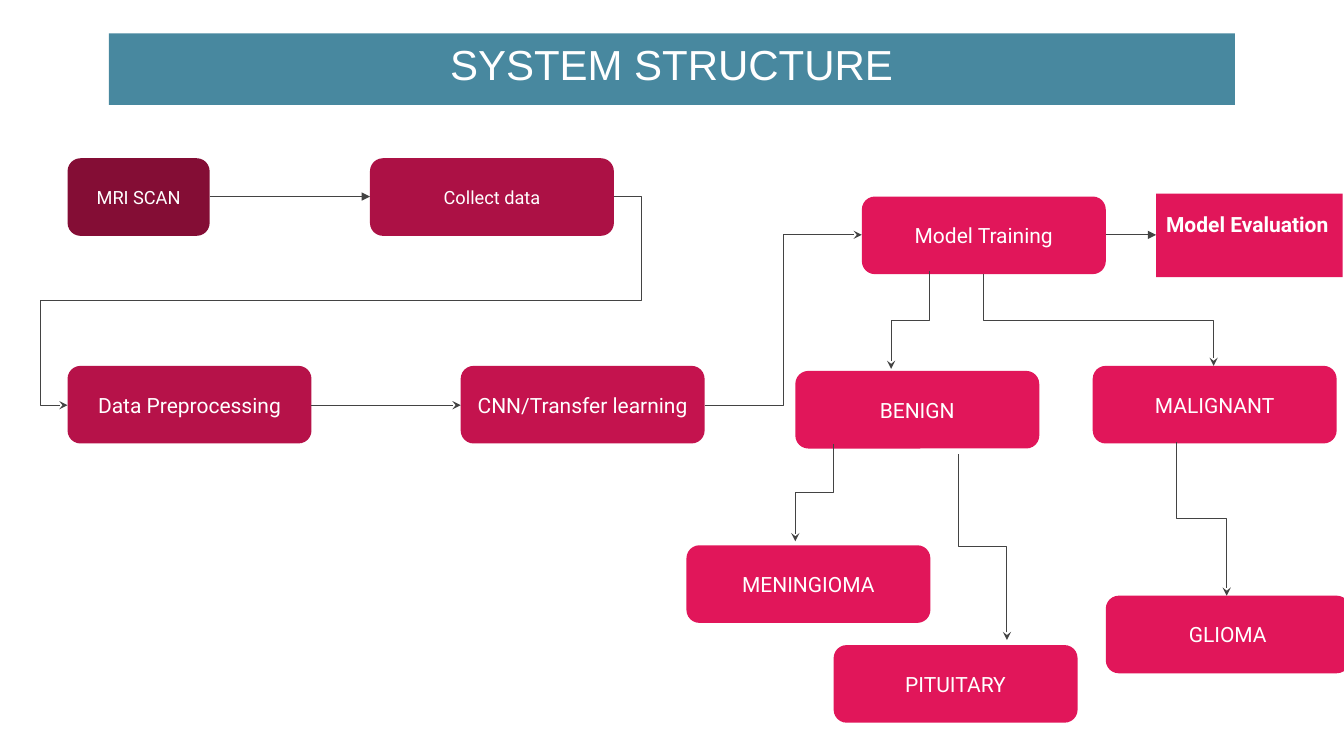
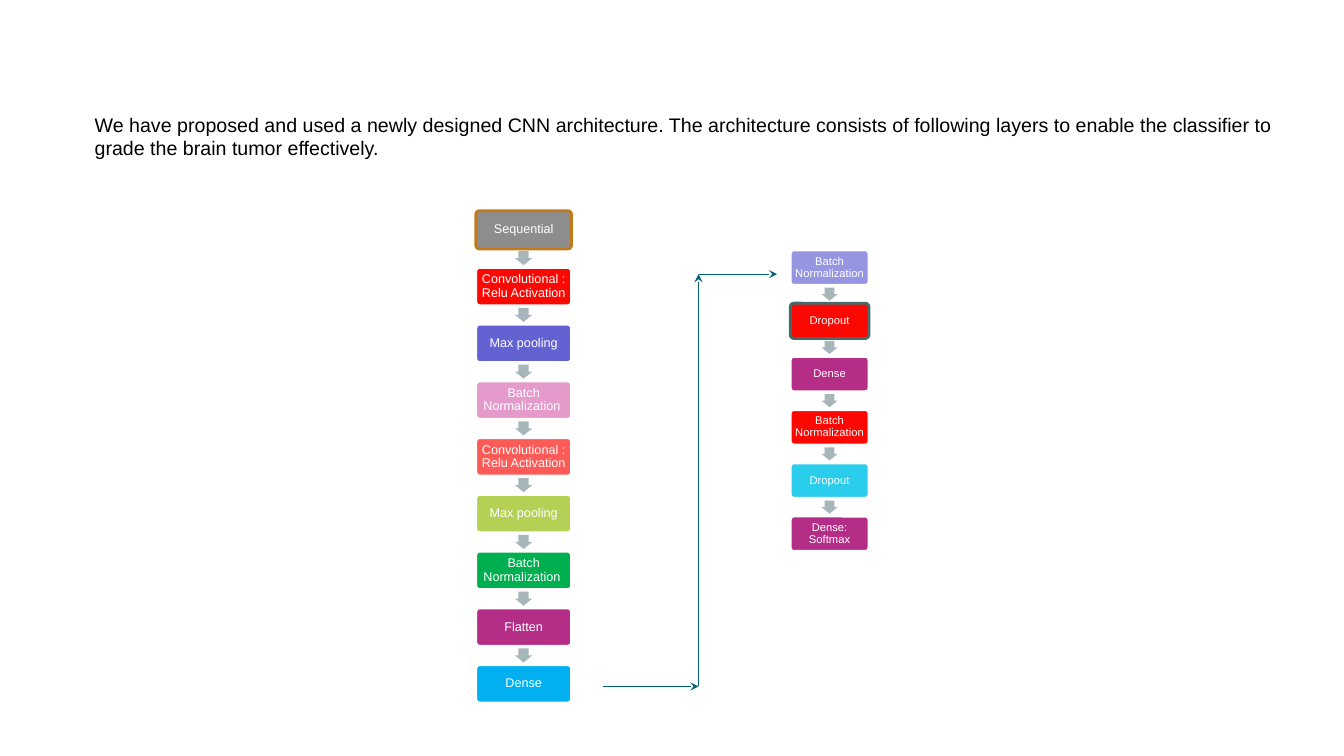
"""Builds two slides on a brain tumor classifier: its system structure and its layers."""
from lxml.etree import SubElement
from pptx import Presentation
from pptx.dml.color import RGBColor
from pptx.enum.shapes import MSO_CONNECTOR, MSO_SHAPE
from pptx.enum.text import MSO_ANCHOR, MSO_AUTO_SIZE, PP_ALIGN
from pptx.oxml.ns import qn
from pptx.util import Inches, Pt

COLORS = {
    "white": "FFFFFF", "black": "000000", "band": "48889F",
    "scan": "840D35", "collect": "AC1145", "prepare": "B61249",
    "network": "C4134E", "result": "E1165A",
    "link": "434343", "route": "076173", "arrow": "A7B6BB",
    "gray": "8D8D8D", "bronze": "C0791B", "slate": "426C6C",
    "red": "FB0803", "coral": "FD5B58", "indigo": "6262D3",
    "lavender": "9595E2", "pink": "E59ACC", "lime": "B5D155",
    "green": "00B050", "plum": "B42D87", "sky": "00B0F0", "cyan": "2ACDEC",
}
SLIDE_COLUMNS, SLIDE_ROWS = 133.33, 75
NODE_WIDTH, NODE_HEIGHT = 24.2, 7.7


def grid(cells):
    """Turns cells of a tenth of an inch into a length."""
    return Inches(cells / 10)


def color(name):
    """Looks up a named colour."""
    return RGBColor.from_string(COLORS[name])


def write(shape, text, size=15, font="Roboto", ink="white", bold=False,
          align=PP_ALIGN.CENTER, anchor=MSO_ANCHOR.MIDDLE, spacing=1,
          insets=(1.3, 1.3, 1.3, 1.3)):
    """Puts formatted text into a shape, with insets left, top, right, bottom."""
    frame = shape.text_frame
    frame.word_wrap = True
    frame.auto_size = MSO_AUTO_SIZE.NONE
    frame.vertical_anchor = anchor
    (frame.margin_left, frame.margin_top,
     frame.margin_right, frame.margin_bottom) = map(grid, insets)
    paragraph = frame.paragraphs[0]
    paragraph.alignment = align
    paragraph.line_spacing = spacing
    run = paragraph.add_run()
    run.text = text
    run.font.size = Pt(size)
    run.font.name = font
    run.font.bold = bold
    run.font.color.rgb = color(ink)


class Deck:
    """Holds the style and the current slide."""

    TITLE_ONLY, BLANK = 5, 6
    TEXT_INSETS = (1, 0.5, 1, 0.5)

    def __init__(self):
        """Starts an empty wide presentation."""
        self.presentation = Presentation()
        self.presentation.slide_width = grid(SLIDE_COLUMNS)
        self.presentation.slide_height = grid(SLIDE_ROWS)
        self.slide = None

    def add_slide(self, title=None):
        """Adds a slide, with a title band if a title is given."""
        layout = self.BLANK if title is None else self.TITLE_ONLY
        self.slide = self.presentation.slides.add_slide(
            self.presentation.slide_layouts[layout])
        if title is not None:
            band = self.slide.shapes.title
            band.left, band.top, band.width, band.height = map(
                grid, (10.8, 3.3, 111.7, 7.1))
            band.fill.solid()
            band.fill.fore_color.rgb = color("band")
            write(band, title, size=30, font="Arial",
                  anchor=MSO_ANCHOR.TOP, insets=self.TEXT_INSETS)

    def text(self, column, row, width, height, text, **style):
        """Adds a plain text box."""
        box = self.slide.shapes.add_textbox(*map(grid, (column, row, width, height)))
        write(box, text, insets=self.TEXT_INSETS, **style)

    def shape(self, kind, column, row, width, height, fill, line=None, adjustments=()):
        """Adds a filled preset shape without a shadow."""
        shape = self.slide.shapes.add_shape(
            kind, *map(grid, (column, row, width, height)))
        shape.shadow.inherit = False
        shape.fill.solid()
        shape.fill.fore_color.rgb = color(fill)
        if line is None:
            shape.line.fill.background()
        else:
            shape.line.color.rgb = color(line)
            shape.line.width = Pt(2)
        for index, value in enumerate(adjustments):
            shape.adjustments[index] = value
        return shape

    def node(self, column, row, text, fill="result", width=NODE_WIDTH, size=15):
        """Adds a rounded step of the flow chart."""
        shape = self.shape(MSO_SHAPE.ROUNDED_RECTANGLE,
                           column, row, width, NODE_HEIGHT, fill)
        write(shape, text, size=size)

    def connector(self, start, end, kind=MSO_CONNECTOR.STRAIGHT, ink="link",
                  arrow="stealth", arrow_end="tailEnd"):
        """Adds a thin connector with one arrowhead."""
        connector = self.slide.shapes.add_connector(kind, *map(grid, (*start, *end)))
        connector.line.color.rgb = color(ink)
        connector.line.width = Pt(0.75)
        SubElement(connector.line._get_or_add_ln(), qn(f"a:{arrow_end}"), type=arrow)
        SubElement(connector._element.spPr, qn("a:effectLst"))
        return connector

    def detour(self, start, end, shares):
        """Adds a connector with four bends, placed by shares of its width and height."""
        connector = self.connector(start, end, MSO_CONNECTOR.ELBOW)
        geometry = connector._element.spPr.find(qn("a:prstGeom"))
        geometry.set("prst", "bentConnector5")
        values = geometry.find(qn("a:avLst"))
        if values is None:
            values = SubElement(geometry, qn("a:avLst"))
        for number, share in enumerate(shares, 1):
            SubElement(values, qn("a:gd"), name=f"adj{number}",
                       fmla=f"val {round(share * 100000)}")

    def branch(self, parent, child):
        """Adds an elbow that leaves the parent downwards and enters the child."""
        middle_x = (parent[0] + child[0]) / 2
        middle_y = (parent[1] + child[1]) / 2
        half_width = (child[1] - parent[1]) / 2
        half_height = abs(child[0] - parent[0]) / 2
        goes_left = child[0] < parent[0]
        side = -half_width if goes_left else half_width
        connector = self.connector(
            (middle_x + side, middle_y - half_height),
            (middle_x - side, middle_y + half_height),
            MSO_CONNECTOR.ELBOW, arrow_end="headEnd")
        rotation = 270 if goes_left else 90
        transform = connector._element.spPr.find(qn("a:xfrm"))
        transform.set("rot", str(rotation * 60000))

    def stack(self, column, row, width, height, pitch, layers, size, inset, arrow):
        """Adds a column of layers with a block arrow in each gap."""
        arrow_width, arrow_height = arrow
        for index, (text, fill, line) in enumerate(layers):
            top = row + index * pitch
            if index:
                self.shape(MSO_SHAPE.DOWN_ARROW,
                           column + (width - arrow_width) / 2,
                           top - (pitch - height + arrow_height) / 2,
                           arrow_width, arrow_height, "arrow", adjustments=(0.6, 0.5))
            layer = self.shape(MSO_SHAPE.ROUNDED_RECTANGLE, column, top,
                               width, height, fill, line, (0.1,))
            write(layer, text, size=size, font="Arial", spacing=0.9,
                  insets=(inset,) * 4)


def build_structure(deck):
    """Draws the flow from scan to diagnosis."""
    deck.add_slide("SYSTEM STRUCTURE")
    deck.node(6.7, 15.7, "MRI SCAN", "scan", width=14.1, size=13)
    deck.node(36.7, 15.7, "Collect data", "collect", size=13)
    deck.node(6.7, 36.3, "Data Preprocessing", "prepare")
    deck.node(45.7, 36.3, "CNN/Transfer learning", "network")
    for column, row, text in (
            (85.5, 19.5, "Model Training"), (78.9, 36.8, "BENIGN"),
            (108.4, 36.3, "MALIGNANT"), (68.1, 54.1, "MENINGIOMA"),
            (82.7, 64, "PITUITARY"), (109.7, 59.1, "GLIOMA")):
        deck.node(column, row, text)
    evaluation = deck.shape(MSO_SHAPE.RECTANGLE, 114.7, 19.2, 18.5, 8.3, "result")
    write(evaluation, "Model Evaluation", bold=True, align=PP_ALIGN.LEFT,
          insets=(1, 1, 1, 3.3))

    deck.connector((20.8, 19.5), (36.7, 19.5), arrow="triangle")
    deck.connector((109.7, 23.3), (114.7, 23.3), arrow="triangle")
    deck.connector((30.9, 40.2), (45.7, 40.2))
    deck.connector((69.9, 40.2), (85.5, 23.3), MSO_CONNECTOR.ELBOW)
    deck.detour((60.9, 19.5), (6.7, 40.2), (-0.05, 0.5, 1.05))
    for parent, child in (
            ((92.2, 26.9), (88.4, 36.6)), ((97.6, 27.2), (120.4, 36.3)),
            ((82.7, 44), (78.9, 53.7)), ((95.1, 45), (99.9, 63.5)),
            ((116.7, 43.8), (121.7, 59.1))):
        deck.branch(parent, child)


def build_layers(deck):
    """Draws the layers of the network in two columns."""
    deck.add_slide()
    deck.text(8.4, 10.7, 120.5, 5.7,
              "We have proposed and used a newly designed CNN architecture. "
              "The architecture consists of following layers to enable the "
              "classifier to grade the brain tumor effectively.",
              size=14, font="Arial", ink="black",
              align=PP_ALIGN.LEFT, anchor=MSO_ANCHOR.TOP)
    deck.stack(47.2, 20.9, 9.5, 3.8, 5.63, (
        ("Sequential", "gray", "bronze"),
        ("Convolutional : Relu Activation", "red", "white"),
        ("Max pooling", "indigo", "white"),
        ("Batch Normalization ", "pink", "white"),
        ("Convolutional : Relu Activation", "coral", "white"),
        ("Max pooling", "lime", "white"),
        ("Batch Normalization ", "green", "white"),
        ("Flatten", "plum", "white"),
        ("Dense", "sky", "white"),
    ), size=9, inset=0.4, arrow=(1.7, 1.4))
    deck.stack(78.4, 24.8, 7.8, 3.5, 5.28, (
        ("Batch Normalization", "lavender", "white"),
        ("Dropout", "red", "slate"),
        ("Dense", "plum", "white"),
        ("Batch Normalization", "red", "white"),
        ("Dropout", "cyan", "white"),
        ("Dense: Softmax", "plum", "white"),
    ), size=8, inset=0.3, arrow=(1.6, 1.3))
    route = ((59.8, 68.1), (69.3, 68.1), (69.3, 27.2), (77.1, 27.2))
    for start, end in zip(route, route[1:]):
        deck.connector(start, end, ink="route")


def main():
    """Builds and saves the presentation."""
    deck = Deck()
    build_structure(deck)
    build_layers(deck)
    deck.presentation.save("out.pptx")


if __name__ == "__main__":
    main()
